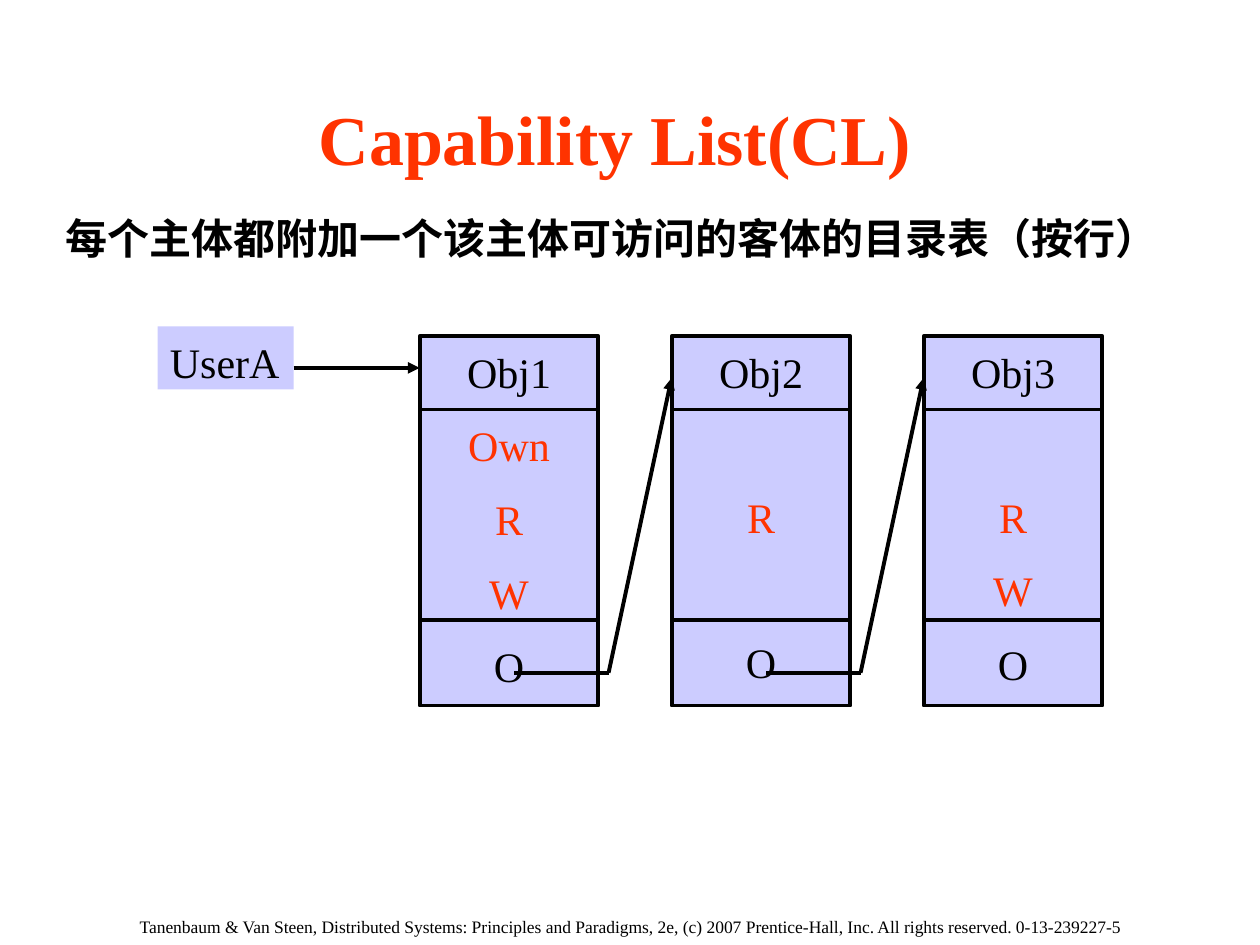
from lxml import etree
from pptx import Presentation
from pptx.dml.color import RGBColor
from pptx.enum import shapes, text
from pptx.oxml import ns
from pptx.util import Inches, Pt

COLORS = {"ink": "000000", "accent": "FF3300", "cell": "CCCCFF"}
FONT = "Times New Roman"
TITLE = "Capability List(CL)"
SUBTITLE = "每个主体都附加一个该主体可访问的客体的目录表（按行）"
FOOTER = ("Tanenbaum & Van Steen, Distributed Systems: Principles and Paradigms, 2e, "
          "(c) 2007 Prentice-Hall, Inc. All rights reserved. 0-13-239227-5")
SUBJECT = "UserA"
CAPABILITIES = [
    ("Obj1", ["Own", "R", "W"]),
    ("Obj2", [None, "R", None]),
    ("Obj3", [None, "R", "W"]),
]
POINTER = "O"

LEFT, TOP, WIDTH, HEIGHT, PITCH = 3.33, 2.67, 1.42, 2.93, 2
DIVIDERS = (3.25, 4.92)
POINTER_Y, ENTRY_Y, SUBJECT_Y = 5.34, 3, 2.92
LINE_GAP, ROW_PITCH = 13.2, 40.8
LEFT_ALIGN, CENTER = text.PP_ALIGN.LEFT, text.PP_ALIGN.CENTER


def color(name):
    return RGBColor.from_string(COLORS[name])


def add_text(box, lines, size=24, bold=False, align=CENTER, inset=0.05,
             anchor=text.MSO_ANCHOR.TOP):
    frame = box.text_frame
    frame.word_wrap = True
    frame.vertical_anchor = anchor
    frame.margin_top = Inches(inset)
    for index, (words, ink, gap) in enumerate(lines):
        para = frame.add_paragraph() if index else frame.paragraphs[0]
        para.alignment = align
        para.space_before = Pt(gap)
        span = para.add_run()
        span.text = words
        span.font.name = FONT
        span.font.size = Pt(size)
        span.font.bold = bold
        span.font.color.rgb = color(ink)


def add_label(slide, place, words, ink="ink", **style):
    box = slide.shapes.add_textbox(*map(Inches, place))
    add_text(box, [(words, ink, 0)], **style)


def add_cell(slide, place, lines, outlined=True, **style):
    box = slide.shapes.add_shape(shapes.MSO_SHAPE.RECTANGLE, *map(Inches, place))
    box.shadow.inherit = False
    box.fill.solid()
    box.fill.fore_color.rgb = color("cell")
    if outlined:
        box.line.color.rgb = color("ink")
        box.line.width = Pt(2.25)
    else:
        box.line.fill.background()
    add_text(box, lines, inset=0.08, **style)


def add_line(slide, start, end, arrow=False):
    line = slide.shapes.add_connector(
        shapes.MSO_CONNECTOR.STRAIGHT, *map(Inches, start + end))
    line.line.color.rgb = color("ink")
    line.line.width = Pt(2.25)
    if arrow:
        etree.SubElement(line.line._get_or_add_ln(), ns.qn("a:tailEnd"), type="triangle")
    etree.SubElement(line._element.spPr, ns.qn("a:effectLst"))


def capability_lines(name, rights):
    lines = [(name, "ink", 0)]
    gap = LINE_GAP
    for words, ink in [(right, "accent") for right in rights] + [(POINTER, "ink")]:
        if words is None:
            gap += ROW_PITCH
        else:
            lines.append((words, ink, gap))
            gap = LINE_GAP
    return lines


def main():
    deck = Presentation()
    deck.slide_width, deck.slide_height = Inches(10), Inches(7.5)
    slide = deck.slides.add_slide(deck.slide_layouts[6])

    add_label(slide, (0, 7.22, 10, 0.19), FOOTER, size=10)
    add_label(slide, (0.92, 0.74, 7.92, 0.7), TITLE, "accent", size=40, bold=True,
              anchor=text.MSO_ANCHOR.MIDDLE)
    add_label(slide, (0.42, 1.64, 9.31, 0.51), SUBTITLE, bold=True, align=LEFT_ALIGN)

    lefts = [LEFT + PITCH * index for index in range(len(CAPABILITIES))]
    for left, (name, rights) in zip(lefts, CAPABILITIES):
        add_cell(slide, (left, TOP, WIDTH, HEIGHT), capability_lines(name, rights))
        for y in DIVIDERS:
            add_line(slide, (left, y), (left + WIDTH, y))

    add_cell(slide, (1.25, 2.59, 1.08, 0.5), [(SUBJECT, "ink", 0)],
             outlined=False, align=LEFT_ALIGN)
    add_line(slide, (2.33, SUBJECT_Y), (LEFT, SUBJECT_Y), arrow=True)
    for left, following in zip(lefts, lefts[1:]):
        corner = (left + 1.5, POINTER_Y)
        add_line(slide, (left + 0.75, POINTER_Y), corner)
        add_line(slide, corner, (following, ENTRY_Y), arrow=True)

    deck.save("out.pptx")


if __name__ == "__main__":
    main()
